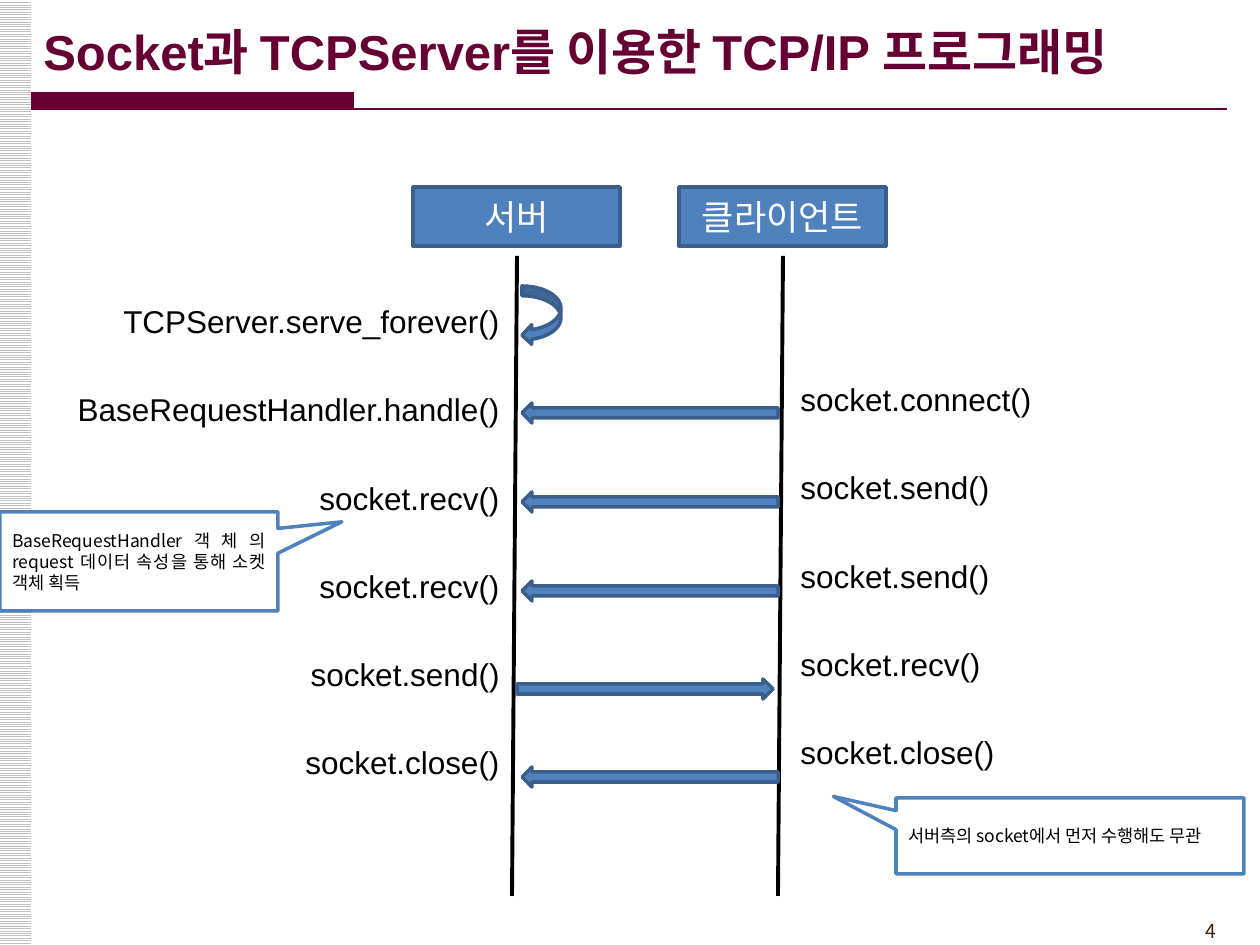
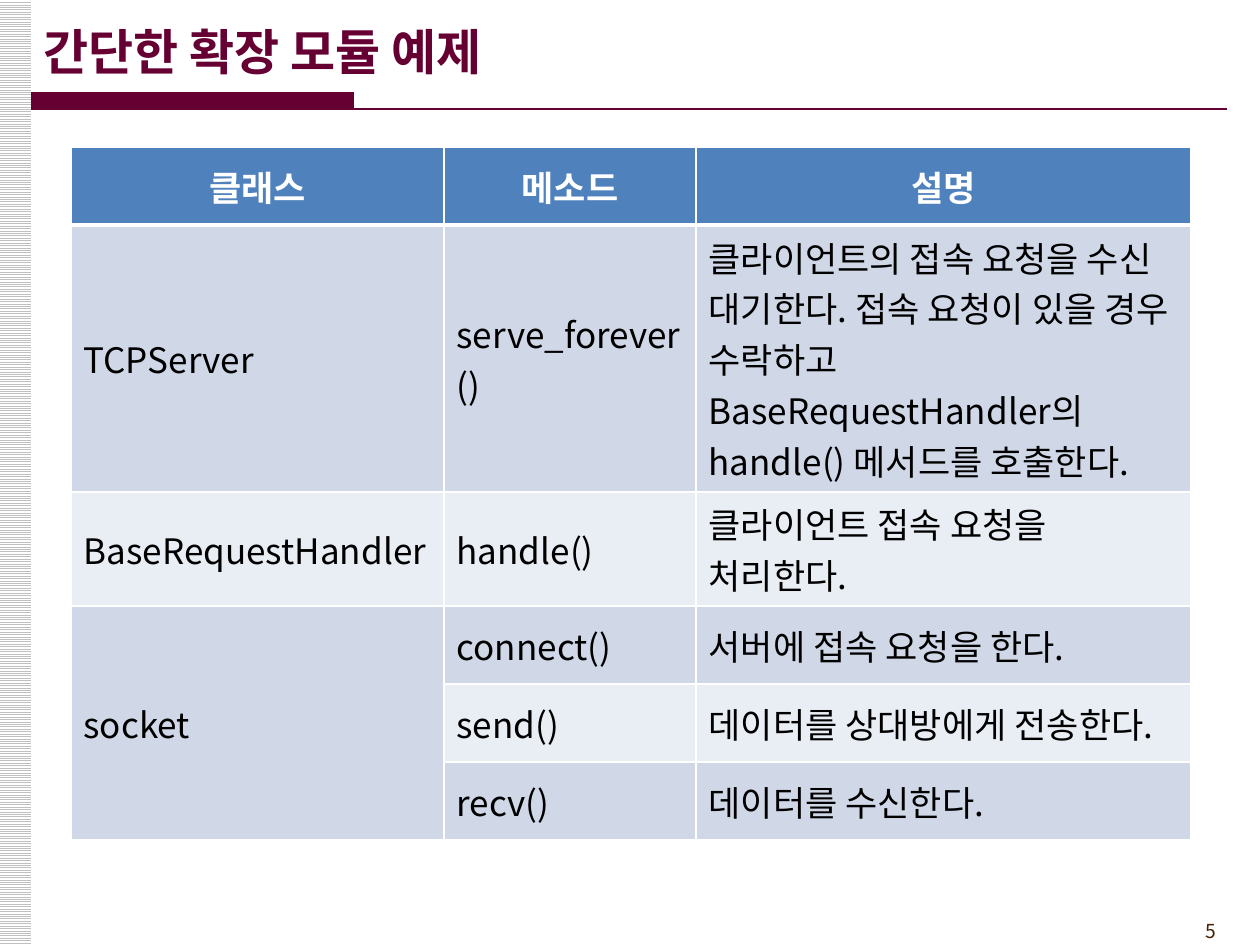
import dataclasses
import typing

import lxml.etree
import pptx
import pptx.dml.color
import pptx.enum.dml
import pptx.enum.shapes
import pptx.enum.text
import pptx.oxml.ns
import pptx.slide
import pptx.util

Align = pptx.enum.text.PP_ALIGN
Anchor = pptx.enum.text.MSO_ANCHOR
Kind = pptx.enum.shapes.MSO_SHAPE
Slide = pptx.slide.Slide
Any = typing.Any
qn = pptx.oxml.ns.qn


@dataclasses.dataclass(frozen=True)
class Theme:
    wine: str = "660033"
    blue: str = "4F81BD"
    navy: str = "3A5F8C"
    brown: str = "452103"
    gray: str = "C0C0C0"
    white: str = "FFFFFF"
    black: str = "000000"
    bands: tuple[str, str] = ("D0D8E8", "E9EDF4")
    latin: str = "Arial"
    hangul: str = "Noto Sans CJK KR"
    title: int = 28
    head: int = 20
    body: int = 18
    page: int = 11
    note: int = 10


@dataclasses.dataclass(frozen=True)
class Box:
    left: int
    top: int
    width: int
    height: int

    def emu(self) -> tuple[int, ...]:
        return tuple(px(n) for n in dataclasses.astuple(self))


@dataclasses.dataclass(frozen=True)
class Look:
    size: int
    color: str
    face: str
    align: Any = Align.LEFT
    bold: bool = False


@dataclasses.dataclass(frozen=True)
class Actor:
    name: str
    left: int


@dataclasses.dataclass(frozen=True)
class Note:
    text: str
    box: Box
    tip: tuple[float, float]


@dataclasses.dataclass(frozen=True)
class Calls:
    names: tuple[str, ...]
    box: Box
    align: Any


T = Theme()


def px(n: float) -> int:
    return round(n * 914400 / 126)


def rgb(code: str) -> pptx.dml.color.RGBColor:
    return pptx.dml.color.RGBColor.from_string(code)


# Text and shape helpers
def write(frame: Any, text: str, look: Look, gap: float = 0) -> None:
    frame.text = text
    frame.word_wrap = True
    for par in frame.paragraphs:
        par.alignment = look.align
        par.space_after = pptx.util.Pt(gap)
        for run in par.runs:
            font = run.font
            font.size = pptx.util.Pt(look.size)
            font.bold = look.bold
            font.color.rgb = rgb(look.color)
            font.name = look.face
            props = run._r.get_or_add_rPr()
            props.set("kern", "0")
            east = lxml.etree.SubElement(props, qn("a:ea"))
            east.set("typeface", T.hangul)


def label(slide: Slide, box: Box, text: str, look: Look,
          anchor: Any = Anchor.TOP, gap: float = 0) -> None:
    frame = slide.shapes.add_textbox(*box.emu()).text_frame
    write(frame, text, look, gap)
    frame.vertical_anchor = anchor


def block(slide: Slide, kind: Any, box: Box, fill: str, edge: str = "") -> Any:
    shape = slide.shapes.add_shape(kind, *box.emu())
    shape.shadow.inherit = False
    shape.fill.solid()
    shape.fill.fore_color.rgb = rgb(fill)
    if edge:
        shape.line.color.rgb = rgb(edge)
        shape.line.width = pptx.util.Pt(2)
    else:
        shape.line.fill.background()
    return shape


def rule(slide: Slide, start: tuple[int, int], end: tuple[int, int],
         color: str, width: float) -> None:
    line = slide.shapes.add_connector(
        pptx.enum.shapes.MSO_CONNECTOR.STRAIGHT,
        *(px(n) for n in start + end))
    line.line.color.rgb = rgb(color)
    line.line.width = pptx.util.Pt(width)
    lxml.etree.SubElement(line._element.spPr, qn("a:effectLst"))


# Frame shared by all slides
def start(deck: Any, title: str, page: int) -> Slide:
    slide = deck.slides.add_slide(deck.slide_layouts[6])
    strip = block(slide, Kind.RECTANGLE, Box(0, 0, 31, 945), T.white)
    strip.fill.patterned()
    strip.fill.pattern = pptx.enum.dml.MSO_PATTERN.LIGHT_HORIZONTAL
    strip.fill.fore_color.rgb = rgb(T.gray)
    strip.fill.back_color.rgb = rgb(T.white)
    label(slide, Box(1124, 913, 105, 36), str(page),
          Look(T.page, T.brown, T.hangul, Align.RIGHT))
    block(slide, Kind.RECTANGLE, Box(31, 92, 323, 18), T.wine)
    rule(slide, (31, 109), (1227, 109), T.wine, 1.5)
    label(slide, Box(31, 11, 1229, 80), title,
          Look(T.title, T.wine, T.latin, bold=True), Anchor.MIDDLE)
    return slide


# Sequence diagram
ACTORS = (Actor("서버", 413), Actor("클라이언트", 679))
CALLS = (
    Calls(("TCPServer.serve_forever()", "BaseRequestHandler.handle()",
           "socket.recv()", "socket.recv()", "socket.send()",
           "socket.close()"), Box(60, 296, 452, 532), Align.RIGHT),
    Calls(("socket.connect()", "socket.send()", "socket.send()",
           "socket.recv()", "socket.close()"),
          Box(788, 374, 452, 444), Align.LEFT),
)
ARROWS = (
    (Kind.CURVED_LEFT_ARROW, Box(522, 286, 39, 59)),
    *((Kind.LEFT_ARROW, Box(522, top, 256, 20))
      for top in (403, 492, 581, 767)),
    (Kind.RIGHT_ARROW, Box(517, 679, 256, 20)),
)
NOTES = (
    Note("서버측의 socket에서 먼저 수행해도 무관",
         Box(896, 798, 348, 76), (-0.68, -0.52)),
    Note("BaseRequestHandler객체의 request 데이터 속성을 통해 소켓 객체 획득",
         Box(0, 512, 278, 99), (0.73, -0.4)),
)


def flow(slide: Slide) -> None:
    for side in CALLS:
        label(slide, side.box, "\n".join(side.names),
              Look(T.body, T.black, T.latin, side.align), gap=28.8)
    for actor in ACTORS:
        shape = block(slide, Kind.RECTANGLE, Box(actor.left, 187, 207, 59),
                      T.blue, T.navy)
        write(shape.text_frame, actor.name,
              Look(T.head, T.white, T.hangul, Align.CENTER))
        rule(slide, (actor.left + 104, 256), (actor.left + 99, 896),
             T.black, 2.25)
    for kind, box in ARROWS:
        block(slide, kind, box, T.blue, T.navy)
    for note in NOTES:
        shape = block(slide, Kind.RECTANGULAR_CALLOUT, note.box,
                      T.white, T.blue)
        shape.adjustments[0], shape.adjustments[1] = note.tip
        write(shape.text_frame, note.text,
              Look(T.note, T.black, T.hangul, Align.JUSTIFY))
        shape.text_frame.vertical_anchor = Anchor.MIDDLE


# Class table
ROWS = (
    ("클래스", "메소드", "설명"),
    ("TCPServer", "serve_forever()",
     "클라이언트의 접속 요청을 수신 대기한다. 접속 요청이 있을 경우 수락하고 "
     "BaseRequestHandler의 handle() 메서드를 호출한다."),
    ("BaseRequestHandler", "handle()", "클라이언트 접속 요청을 처리한다."),
    ("socket", "connect()", "서버에 접속 요청을 한다."),
    ("", "send()", "데이터를 상대방에게 전송한다."),
    ("", "recv()", "데이터를 수신한다."),
)
WIDTHS = (373, 252, 495)
HEIGHTS = (78, 267, 114, 78, 78, 78)


def border(cell: Any, row: int) -> None:
    props = cell._tc.get_or_add_tcPr()
    thick = {0: "B", 1: "T"}.get(row)
    for spot, side in enumerate("LRTB"):
        line = lxml.etree.Element(qn(f"a:ln{side}"))
        line.set("w", str(pptx.util.Pt(3 if side == thick else 1)))
        fill = lxml.etree.SubElement(line, qn("a:solidFill"))
        lxml.etree.SubElement(fill, qn("a:srgbClr")).set("val", T.white)
        props.insert(spot, line)


def grid(slide: Slide) -> None:
    box = Box(71, 147, sum(WIDTHS), sum(HEIGHTS))
    table = slide.shapes.add_table(
        len(ROWS), len(WIDTHS), *box.emu()).table
    for col, width in zip(table.columns, WIDTHS):
        col.width = px(width)
    for line, height in zip(table.rows, HEIGHTS):
        line.height = px(height)
    head = Look(T.head, T.white, T.hangul, Align.CENTER, True)
    body = Look(T.head, T.black, T.hangul)
    for row, texts in enumerate(ROWS):
        for col, text in enumerate(texts):
            cell = table.cell(row, col)
            write(cell.text_frame, text, body if row else head)
            cell.vertical_anchor = Anchor.MIDDLE
            cell.fill.solid()
            tone = T.bands[(row - 1) % 2] if row else T.blue
            cell.fill.fore_color.rgb = rgb(tone)
            border(cell, row)
    table.cell(3, 0).merge(table.cell(5, 0))


def main() -> None:
    deck = pptx.Presentation()
    deck.slide_width, deck.slide_height = px(1260), px(945)
    flow(start(deck, "Socket과 TCPServer를 이용한 TCP/IP 프로그래밍", 4))
    grid(start(deck, "간단한 확장 모듈 예제", 5))
    deck.save("out.pptx")


main()
